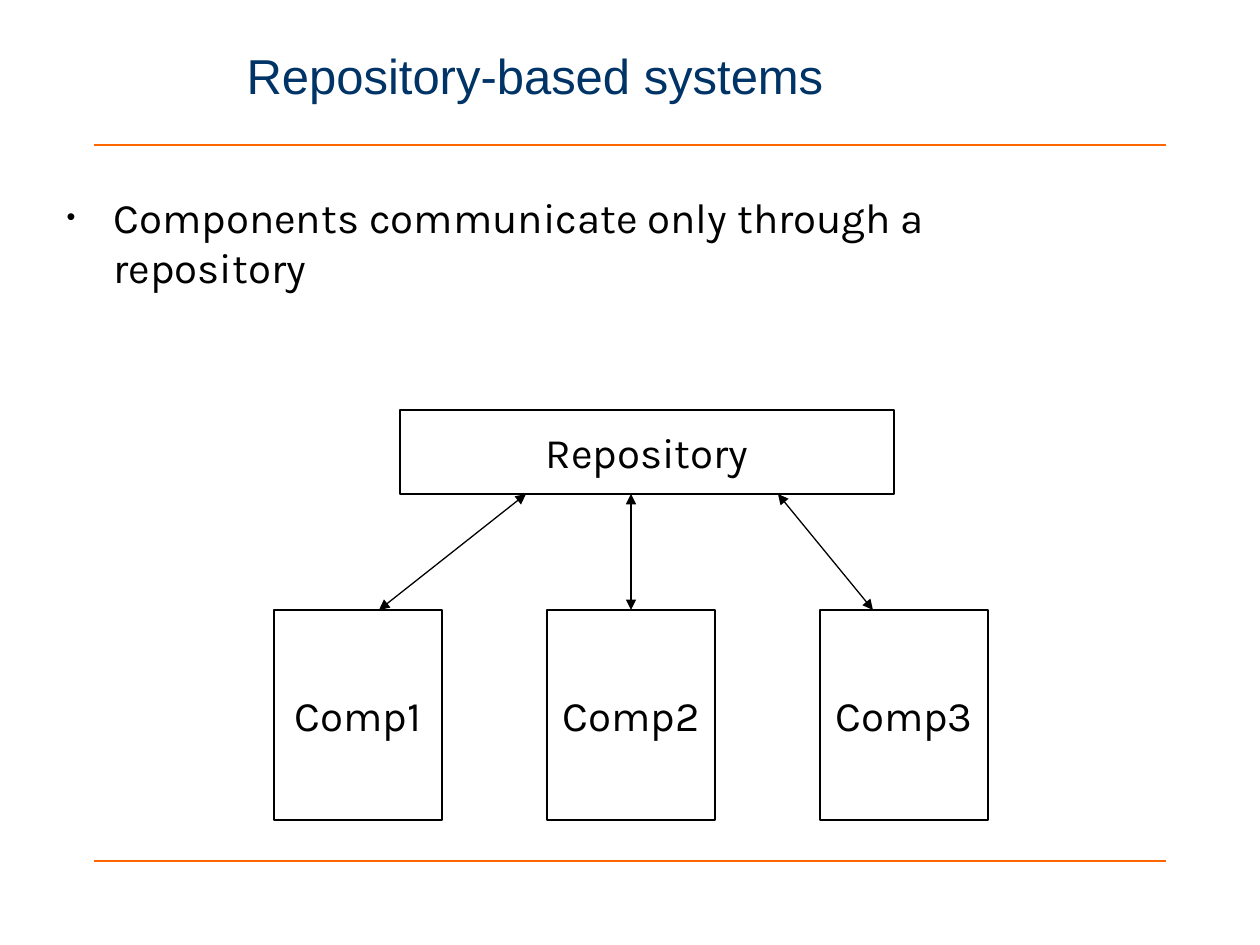
from lxml.etree import SubElement as Sub
from pptx import Presentation
from pptx.dml.color import RGBColor as Rgb
from pptx.enum.shapes import MSO_CONNECTOR as Conn, MSO_SHAPE as Shp
from pptx.enum.text import MSO_ANCHOR as Anchor, MSO_AUTO_SIZE as Auto, PP_ALIGN as Align
from pptx.oxml.ns import qn
from pptx.util import Emu, Pt

HEX = {"title": "003366", "text": "000000", "fill": "FFFFFF",
       "rule": "FF6600", "edge": "000000"}
HEAD = {"name": "Arial", "size": Pt(28)}
BODY = {"name": "Karla", "size": Pt(24)}


def px(n):
    return Emu(round(n * 914400 / 126))


def tint(key):
    return Rgb.from_string(HEX[key])


def style(item, vals):
    for key, val in vals.items():
        setattr(item, key, val)


def write(shape, text, font, color, frame, align):
    """Put one styled paragraph into a shape."""
    style(shape.text_frame, frame)
    para = shape.text_frame.paragraphs[0]
    run = para.add_run()
    run.text = text
    style(run.font, font)
    run.font.color.rgb = tint(color)
    style(para, {"alignment": align, "space_before": Pt(0)})
    return para


def place(shape, box):
    style(shape, dict(zip(("left", "top", "width", "height"), map(px, box))))


def line(slide, start, end, color, heads=False):
    con = slide.shapes.add_connector(Conn.STRAIGHT, *map(px, start + end))
    con.line.color.rgb = tint(color)
    con.line.width = Pt(0.75)
    if heads:
        ln = con.line._get_or_add_ln()
        for tag in ("a:headEnd", "a:tailEnd"):
            Sub(ln, qn(tag), type="triangle")
    Sub(con._element.spPr, qn("a:effectLst"))


def block(slide, box, text):
    shape = slide.shapes.add_shape(Shp.RECTANGLE, *map(px, box))
    shape.shadow.inherit = False
    shape.fill.solid()
    shape.fill.fore_color.rgb = tint("fill")
    shape.line.color.rgb = tint("edge")
    shape.line.width = Pt(0.75)
    write(shape, text, BODY, "text",
          {"word_wrap": False, "vertical_anchor": Anchor.MIDDLE}, Align.CENTER)


def rules(slide, box):
    x, y, w, h = box
    for row in (y, y + h):
        line(slide, (x, row), (x + w, row), "rule")


def title(slide, box, text):
    shape = slide.shapes.title
    place(shape, box)
    write(shape, text, HEAD, "title",
          {"vertical_anchor": Anchor.MIDDLE, "auto_size": Auto.NONE}, Align.LEFT)


def bullets(slide, box, text):
    shape = slide.placeholders[1]
    place(shape, box)
    para = write(shape, text, BODY, "text",
                 {"vertical_anchor": Anchor.TOP, "auto_size": Auto.NONE}, Align.LEFT)
    props = para._p.get_or_add_pPr()
    props.set("marL", str(px(47)))
    props.set("indent", str(-px(47)))
    Sub(props, qn("a:buSzPct"), val="60000")
    Sub(props, qn("a:buChar"), char="•")


def diagram(slide, box):
    x, y, w, h = box
    wide, tall, bar = 168, 210, 84
    top, base = y + h - tall, y + bar
    gap = (w - wide) / 2
    # Shared store above its components
    block(slide, (x + 126, y, 494, bar), "Repository")
    for i in range(3):
        block(slide, (x + i * gap, top, wide, tall), f"Comp{i + 1}")
    # Two-way links: component end, store end
    for low, high in ((105, 252), (357, 357), (599, 504)):
        line(slide, (x + low, top), (x + high, base), "edge", heads=True)


def main():
    deck = Presentation()
    deck.slide_width, deck.slide_height = px(1260), px(945)
    slide = deck.slides.add_slide(deck.slide_layouts[1])
    rules(slide, (94, 145, 1072, 716))
    title(slide, (234, 17, 782, 116), "Repository-based systems")
    bullets(slide, (54, 185, 1071, 151),
            "Components communicate only through a repository")
    diagram(slide, (274, 410, 714, 410))
    deck.save("out.pptx")


if __name__ == "__main__":
    main()
